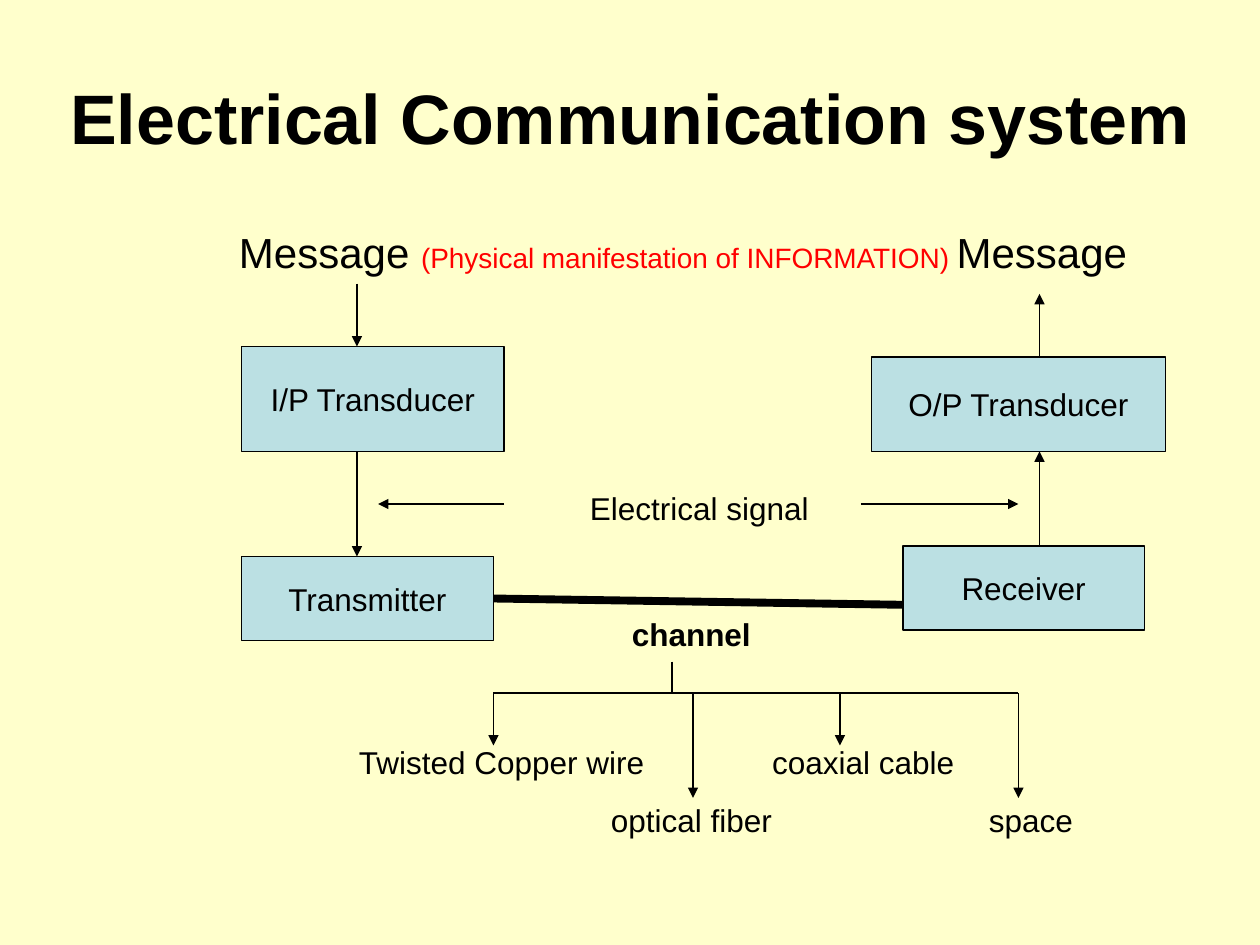
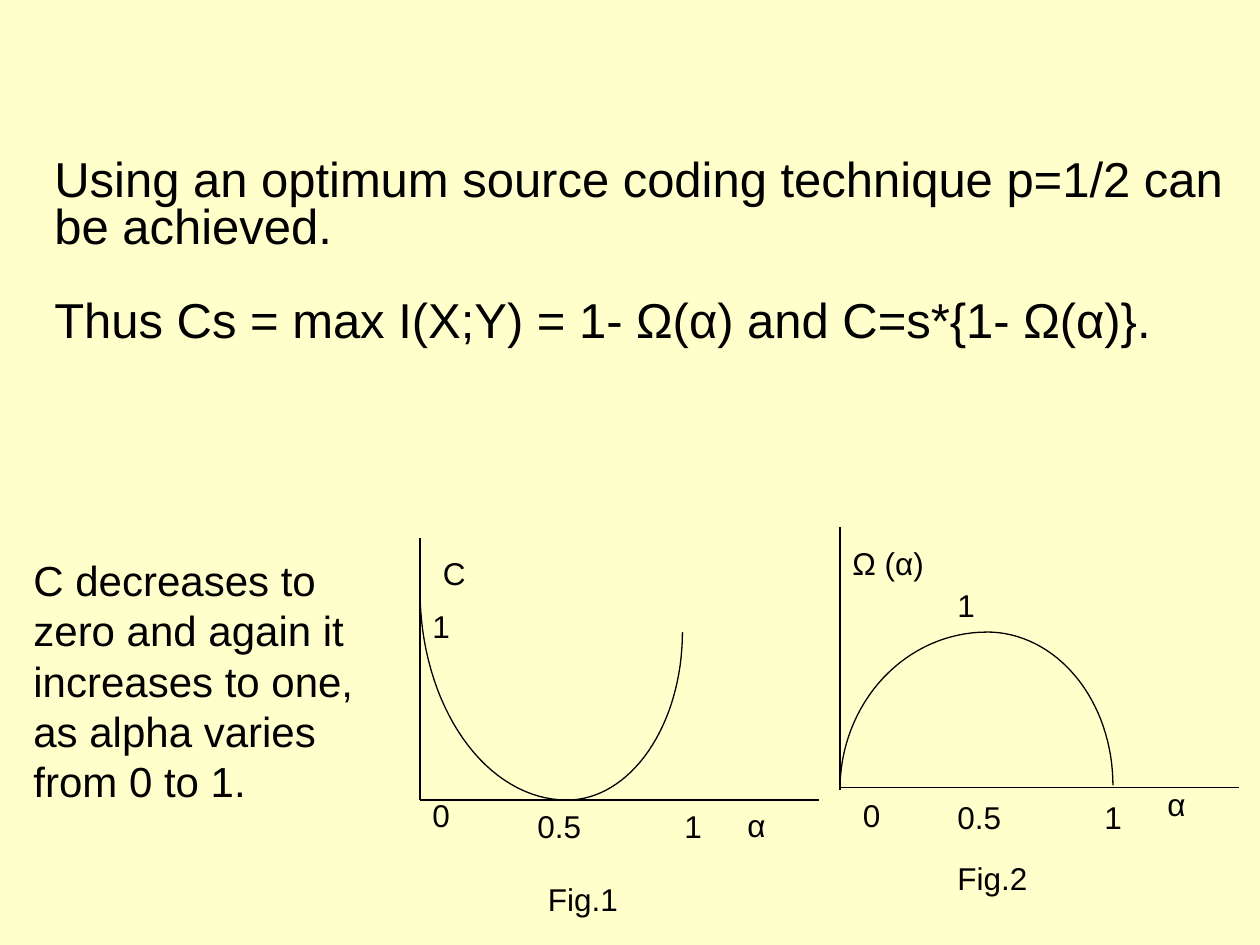
from math import cos, pi, sin

from lxml import etree
from pptx import Presentation
from pptx.dml.color import RGBColor
from pptx.enum.shapes import MSO_CONNECTOR, MSO_SHAPE
from pptx.enum.text import MSO_ANCHOR, PP_ALIGN
from pptx.oxml.ns import qn
from pptx.util import Inches, Pt

CREAM = RGBColor(0xFF, 0xFF, 0xCC)
PALE_BLUE = RGBColor(0xBB, 0xE0, 0xE3)
BLACK = RGBColor(0, 0, 0)
RED = RGBColor(0xFF, 0, 0)
FONT = "Arial"
STRAIGHT = MSO_CONNECTOR.STRAIGHT
RECTANGLE = MSO_SHAPE.RECTANGLE
CENTER = PP_ALIGN.CENTER
MIDDLE = MSO_ANCHOR.MIDDLE
THIN = 0.75
LABEL_HEIGHT = 4.8
RIGHT_SIDE = 3

presentation = Presentation()
presentation.slide_width = Inches(10)
presentation.slide_height = Inches(7.5)
CELL = presentation.slide_width // 120

background = presentation.slide_master.background.fill
background.solid()
background.fore_color.rgb = CREAM


def add_line(slide, start, end, arrow=False, width=THIN):
    ends = [round(value * CELL) for value in (*start, *end)]
    line = slide.shapes.add_connector(STRAIGHT, *ends)
    line.line.color.rgb = BLACK
    line.line.width = Pt(width)
    if arrow:
        etree.SubElement(line.line._get_or_add_ln(), qn("a:tailEnd"), type="triangle")
    etree.SubElement(line._element.spPr, qn("a:effectLst"))
    return line


def add_label(slide, text, left, top, width, height=LABEL_HEIGHT, size=18, bold=False):
    area = [round(value * CELL) for value in (left, top, width, height)]
    label = slide.shapes.add_textbox(*area)
    label.text_frame.word_wrap = True
    label.text_frame.text = text
    for paragraph in label.text_frame.paragraphs:
        for run in paragraph.runs:
            run.font.name = FONT
            run.font.size = Pt(size)
            run.font.bold = bold
            run.font.color.rgb = BLACK
    return label


system_slide = presentation.slides.add_slide(presentation.slide_layouts[1])
title, body = system_slide.placeholders

title.left, title.top, title.width, title.height = [
    round(value * CELL) for value in (2, 3.6, 116, 15)
]
title.text_frame.text = "Electrical Communication system"
title.text_frame.vertical_anchor = MIDDLE
title_paragraph = title.text_frame.paragraphs[0]
title_paragraph.alignment = CENTER
title_font = title_paragraph.runs[0].font
title_font.name = FONT
title_font.size = Pt(40)
title_font.bold = True
title_font.color.rgb = BLACK

body.left, body.top, body.width, body.height = [
    round(value * CELL) for value in (17, 21, 97, 59.4)
]
body.text_frame.margin_left = Inches(0.48)
message = body.text_frame.paragraphs[0]
message.space_before = Pt(6)
message_properties = message._p.get_or_add_pPr()
message_properties.set("marL", "0")
message_properties.set("indent", "0")
etree.SubElement(message_properties, qn("a:buNone"))
for text, size, color in (
    ("Message ", 24, BLACK),
    ("(Physical manifestation of INFORMATION)", 16, RED),
    (" ", 14, RED),
    ("Message", 24, BLACK),
):
    run = message.add_run()
    run.text = text
    run.font.name = FONT
    run.font.size = Pt(size)
    run.font.color.rgb = color

blocks = {}
for name, *area in (
    ("I/P Transducer", 23, 33, 25, 10),
    ("Transmitter", 23, 53, 24, 8),
    ("Receiver", 86, 52, 23, 8),
    ("O/P Transducer", 83, 34, 28, 9),
):
    block = system_slide.shapes.add_shape(RECTANGLE, *[value * CELL for value in area])
    block.shadow.inherit = False
    block.fill.solid()
    block.fill.fore_color.rgb = PALE_BLUE
    block.line.color.rgb = BLACK
    block.line.width = Pt(THIN)
    block.text_frame.word_wrap = False
    block.text_frame.vertical_anchor = MIDDLE
    block.text_frame.text = name
    paragraph = block.text_frame.paragraphs[0]
    paragraph.alignment = CENTER
    font = paragraph.runs[0].font
    font.name = FONT
    font.size = Pt(18)
    font.color.rgb = BLACK
    blocks[name] = block

for start, end in (
    ((34, 27), (34, 33)),
    ((34, 43), (34, 53)),
    ((99, 52), (99, 43)),
    ((99, 34), (99, 28)),
    ((48, 48), (36, 48)),
    ((82, 48), (97, 48)),
):
    add_line(system_slide, start, end, arrow=True)

channel = add_line(system_slide, (47, 57), (86, 57.6), width=4.5)
channel.begin_connect(blocks["Transmitter"], RIGHT_SIDE)

BRANCH_ROW = 66
add_line(system_slide, (64, 63), (64, BRANCH_ROW))
add_line(system_slide, (47, BRANCH_ROW), (97, BRANCH_ROW))
for column, tip_row in ((47, 71), (80, 71), (66, 76), (97, 76)):
    add_line(system_slide, (column, BRANCH_ROW), (column, tip_row), arrow=True)

add_label(system_slide, "Electrical signal", 55, 46, 26)
add_label(system_slide, "channel", 59, 58, 18, bold=True)
media = add_label(
    system_slide,
    "Twisted Copper wire\tcoaxial cable\n\toptical fiber\tspace",
    33, 70.2, 81, 10.3,
)
for paragraph, stops in zip(media.text_frame.paragraphs, ((3.28,), (2, 5))):
    paragraph.space_before = Pt(11.2)
    tab_list = etree.SubElement(paragraph._p.get_or_add_pPr(), qn("a:tabLst"))
    for stop in stops:
        etree.SubElement(tab_list, qn("a:tab"), pos=str(Inches(stop)), algn="l")

capacity_slide = presentation.slides.add_slide(presentation.slide_layouts[6])
formula = add_label(
    capacity_slide,
    "Using an optimum source coding technique p=1/2 can be achieved.\n"
    "Thus Cs = max I(X;Y) = 1- Ω(α) and C=s*{1- Ω(α)}.",
    4, 14.6, 114, 19.2, size=28,
)
for paragraph in formula.text_frame.paragraphs:
    paragraph.line_spacing = 0.8
formula.text_frame.paragraphs[1].space_before = Pt(27)
add_label(
    capacity_slide,
    "C decreases to zero and again it increases to one, as alpha varies from 0 to 1.",
    2, 52.2, 33, 25.2, size=24,
)

for start, end in (
    ((40, 51.2), (40, 76.2)),
    ((40, 76.2), (78, 76.2)),
    ((80, 50.2), (80, 75.2)),
    ((80, 75), (118, 75)),
):
    add_line(capacity_slide, start, end)

STEPS = 32
for (apex_x, apex_y), (end_x, end_y) in (
    ((54, 76.2), (40, 56.2)),
    ((54, 76.2), (65, 60.2)),
    ((94, 60.2), (80, 75.2)),
    ((94, 60.2), (106, 74.8)),
):
    points = []
    for step in range(STEPS + 1):
        angle = step / STEPS * pi / 2
        x = apex_x + (end_x - apex_x) * sin(angle)
        y = end_y + (apex_y - end_y) * cos(angle)
        points.append((round(x * CELL), round(y * CELL)))
    builder = capacity_slide.shapes.build_freeform(*points[0])
    builder.add_line_segments(points[1:], close=False)
    curve = builder.convert_to_shape()
    curve.shadow.inherit = False
    curve.fill.background()
    curve.line.color.rgb = BLACK
    curve.line.width = Pt(THIN)

for text, left, top, width in (
    ("C", 41, 52.2, 10),
    ("1", 40, 57.2, 9),
    ("0", 40, 75.2, 9),
    ("0.5", 50, 76.3, 9),
    ("1", 64, 76.3, 9),
    ("α", 70, 76.2, 6),
    ("Fig.1", 51, 83.2, 10),
    ("Ω (α)", 80, 51.2, 10),
    ("1", 90, 55.2, 9),
    ("0", 81, 75.2, 9),
    ("0.5", 90, 75.4, 9),
    ("1", 104, 75.4, 9),
    ("α", 110, 74.2, 6),
    ("Fig.2", 90, 81.2, 10),
):
    add_label(capacity_slide, text, left, top, width)

presentation.save("out.pptx")
